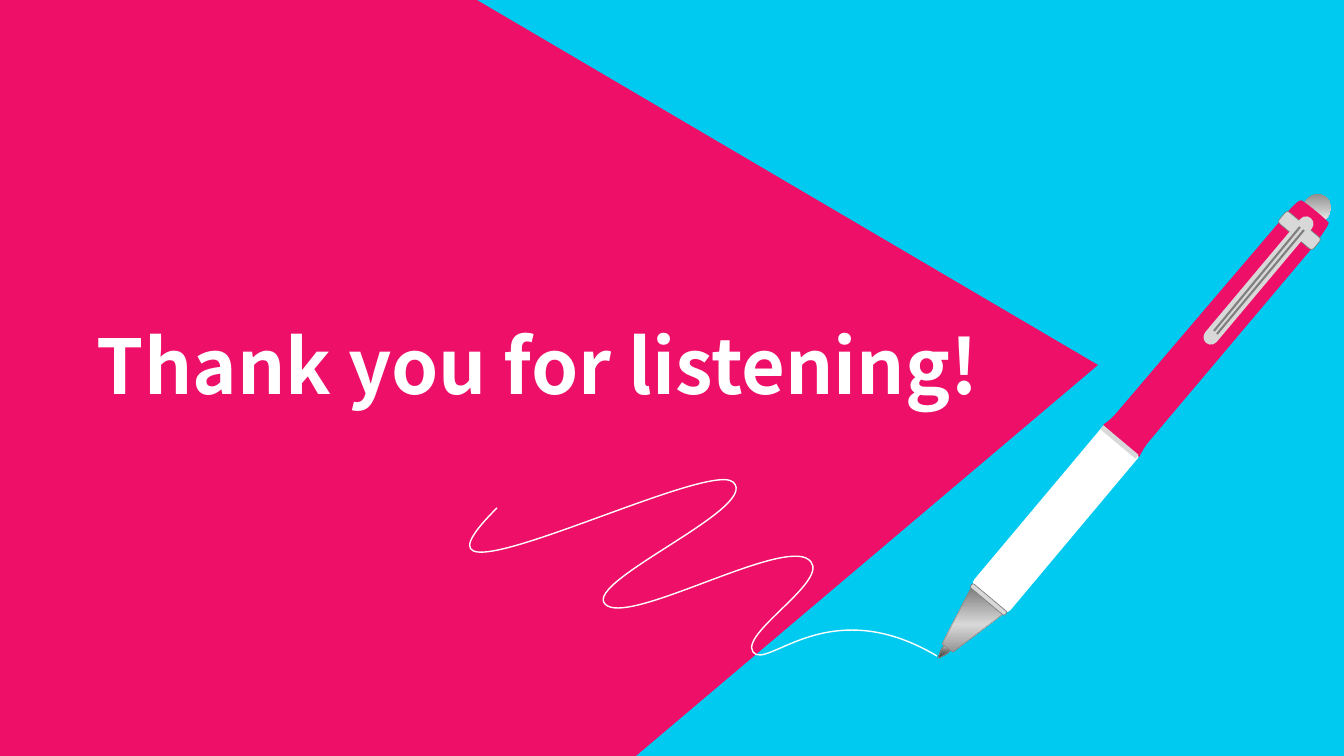
from dataclasses import dataclass
from math import cos, radians, sin

from lxml.etree import SubElement
from pptx import Presentation
from pptx.dml.color import RGBColor
from pptx.enum.shapes import MSO_CONNECTOR as Connector, MSO_SHAPE as Shape
from pptx.oxml.ns import qn
from pptx.util import Pt

SCALE = 12192000 / 1344
PEN_ANGLE = 310
NIB_ANGLE = 220


@dataclass(frozen=True)
class Theme:
    cyan: str = "00CAF0"
    pink: str = "EE0F68"
    white: str = "FFFFFF"
    silver: str = "D8D8D8"
    gray: str = "7F7F7F"
    dark: str = "262626"
    font: str = "Noto Sans CJK SC"
    title_size: int = 54


theme = Theme()


def paint(shape, fill=None, line=None, width=1):
    shape.shadow.inherit = False
    if fill is None:
        shape.fill.background()
    elif isinstance(fill, str):
        shape.fill.solid()
        shape.fill.fore_color.rgb = RGBColor.from_string(fill)
    else:
        angle, stops = fill
        shape.fill.gradient()
        shape.fill.gradient_angle = angle
        stop_list = shape._element.spPr.find(qn("a:gradFill")).find(qn("a:gsLst"))
        for stop in list(stop_list):
            stop_list.remove(stop)
        for percent, color in stops:
            stop = SubElement(stop_list, qn("a:gs"), pos=str(percent * 1000))
            SubElement(stop, qn("a:srgbClr"), val=color)
    if line is None:
        shape.line.fill.background()
    else:
        shape.line.color.rgb = RGBColor.from_string(line)
        shape.line.width = Pt(width)


def add_outline(shapes, area, rotation, segments, close=True):
    left, top, width, height = area
    right, bottom = left + width, top + height
    builder = shapes.build_freeform(left, top, scale=SCALE)
    builder.add_line_segments([(right, top), (right, bottom), (left, bottom)])
    shape = builder.convert_to_shape()
    shape.rotation = rotation
    outline = next(shape._element.iter(qn("a:path")))
    outline.set("w", str(round(width * SCALE)))
    outline.set("h", str(round(height * SCALE)))
    for command in list(outline):
        outline.remove(command)
    turn = radians(-rotation)
    for index, segment in enumerate(segments):
        tag = "a:moveTo" if index == 0 else "a:lnTo" if len(segment) == 2 else "a:cubicBezTo"
        command = SubElement(outline, qn(tag))
        for x, y in zip(segment[::2], segment[1::2]):
            dx, dy = x - left - width / 2, y - top - height / 2
            local_x = width / 2 + dx * cos(turn) - dy * sin(turn)
            local_y = height / 2 + dx * sin(turn) + dy * cos(turn)
            SubElement(command, qn("a:pt"), x=str(round(local_x * SCALE)),
                       y=str(round(local_y * SCALE)))
    if close:
        SubElement(outline, qn("a:close"))
    return shape


deck = Presentation()
deck.slide_width, deck.slide_height = round(1344 * SCALE), round(756 * SCALE)
page = deck.slides.add_slide(deck.slide_layouts[6])

backdrop = page.shapes.add_shape(Shape.RECTANGLE, 0, 0, deck.slide_width, deck.slide_height)
paint(backdrop, theme.cyan)

arrow = add_outline(page.shapes, (162, -169, 772, 1098), 90, [
    (0, -2), (476, -2), (465, -7), (1098, 365), (624, 766), (628, 764), (0, 764),
])
paint(arrow, theme.pink)

title_area = [round(v * SCALE) for v in (87, 314, 916, 102)]
title = page.shapes.add_textbox(*title_area)
title.text_frame.word_wrap = True
para = title.text_frame.paragraphs[0]
para.text = "Thank you for listening!"
para.font.name = theme.font
para.font.size = Pt(theme.title_size)
para.font.bold = True
para.font.color.rgb = RGBColor.from_string(theme.white)

scribble = add_outline(page.shapes, (470, 480, 468, 176), 0, [
    (497, 508),
    (374, 630, 705, 458, 733, 482),
    (762, 507, 584, 581, 605, 604),
    (626, 627, 772, 543, 806, 558),
    (840, 575, 739, 632, 753, 652),
    (767, 671, 828, 591, 937, 656),
], close=False)
paint(scribble, line=theme.white)

cap_fill = (220, [(0, theme.gray), (51, theme.white), (100, theme.gray)])
tip_fill = (310, [(0, theme.dark), (36, theme.gray), (65, theme.white),
                  (80, theme.white), (100, theme.dark)])
cone_fill = (130, [(0, theme.gray), (50, theme.silver), (100, theme.gray)])

tip_outline = ((945, 631, 7, 30), NIB_ANGLE, [
    (942, 648), (945, 645), (956, 633), (961, 637), (950, 650),
    (948, 653), (939, 658), (938, 658),
])
cone_outline = ((947, 594, 41, 61), NIB_ANGLE, [
    (971, 588), (1003, 614), (953, 652), (942, 644),
])
body_outline = ((1067, 301, 301, 46), PEN_ANGLE, [
    (1301, 201),
    (1303, 201, 1326, 220, 1328, 223),
    (1328, 225, 1319, 238, 1313, 246),
    (1151, 438),
    (1144, 446, 1141, 452, 1139, 456),
    (1104, 425),
    (1110, 421, 1113, 418, 1119, 411),
    (1282, 220),
    (1288, 212, 1298, 201, 1301, 201),
])

pen = page.shapes.add_group_shape()
pen_parts = [
    ((1264, 213, 76, 27), 0.5, cap_fill, None, 0),
    (tip_outline, None, tip_fill, theme.gray, 0.75),
    ((952, 496, 208, 46), 0.11, theme.white, theme.white, 1),
    (cone_outline, None, cone_fill, theme.gray, 0.25),
    (body_outline, None, theme.pink, theme.pink, 1),
    ((1117, 419, 5, 46), 0, theme.silver, None, 0),
    ((986, 577, 5, 45), 0.37, theme.silver, theme.gray, 0.5),
    ((1292, 208, 15, 45), 0.2, theme.silver, theme.gray, 0.5),
    ((1177, 273, 163, 15), 0.5, theme.silver, None, 0),
]
for geometry, rounding, fill, line, width in pen_parts:
    if rounding is None:
        part = add_outline(pen.shapes, *geometry)
    else:
        kind = Shape.ROUNDED_RECTANGLE if rounding else Shape.RECTANGLE
        part = pen.shapes.add_shape(kind, *[round(v * SCALE) for v in geometry])
        part.rotation = PEN_ANGLE
        if rounding:
            part.adjustments[0] = rounding
    paint(part, fill, line, width)

for ends in [(1217, 334, 1304, 230), (1214, 331, 1300, 227)]:
    groove = pen.shapes.add_connector(Connector.STRAIGHT, *[round(v * SCALE) for v in ends])
    groove.line.color.rgb = RGBColor.from_string(theme.gray)
    groove.line.width = Pt(1.5)
    SubElement(groove._element.spPr, qn("a:effectLst"))

deck.save("out.pptx")
